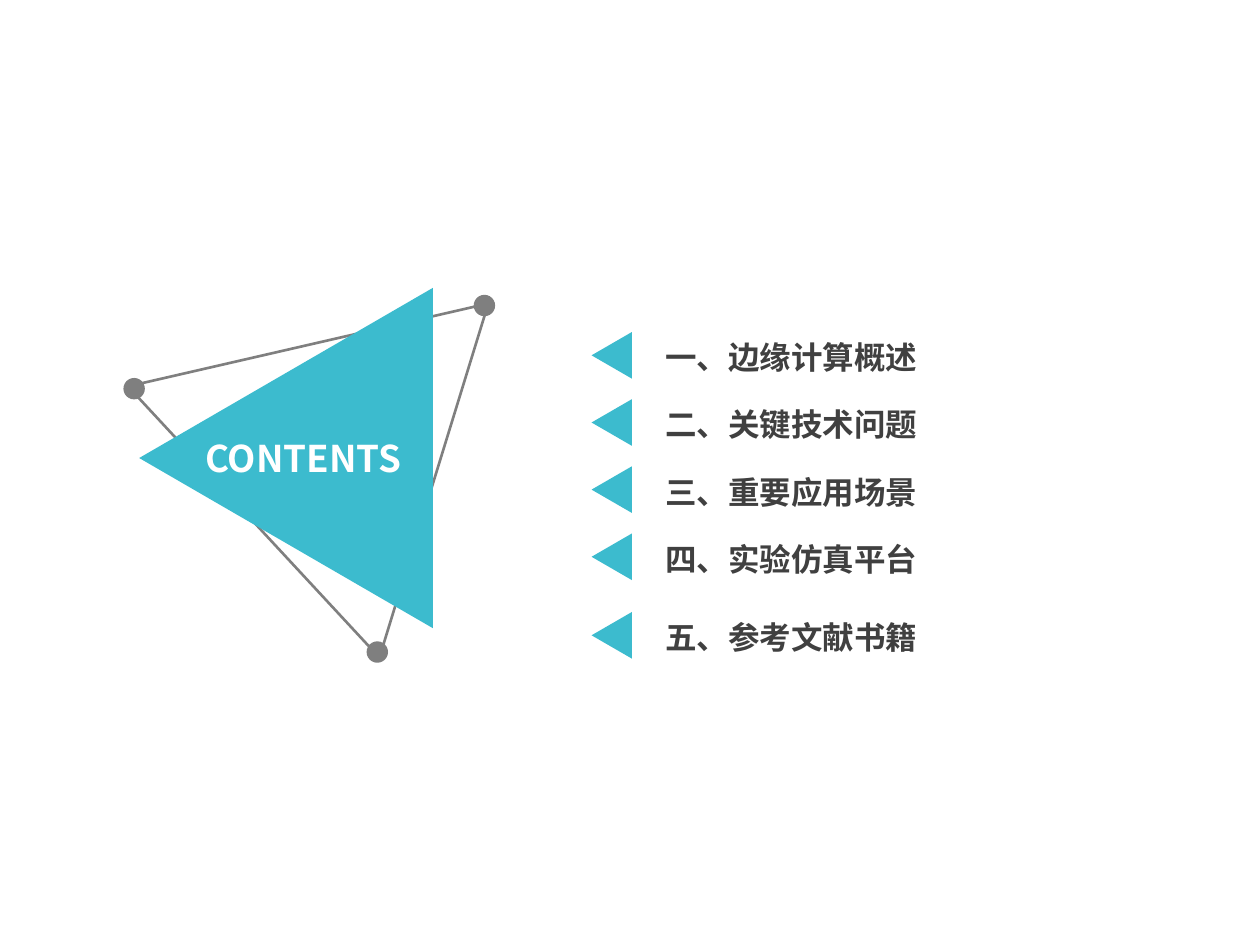
import pptx
import pptx.dml.color
import pptx.enum.shapes
import pptx.enum.text
import pptx.oxml.ns
import pptx.util
from lxml import etree

RGBColor = pptx.dml.color.RGBColor
TEAL = RGBColor(0x3C, 0xBB, 0xCE)
GREY = RGBColor(0x7F, 0x7F, 0x7F)
DARK = RGBColor(0x40, 0x40, 0x40)
WHITE = RGBColor(0xFF, 0xFF, 0xFF)

COLUMNS, ROWS = 100, 75
TOPICS = ["一、边缘计算概述", "二、关键技术问题", "三、重要应用场景",
          "四、实验仿真平台", "五、参考文献书籍"]
FIRST_TOPIC, TOPIC_PITCH, LAST_TOPIC_GAP = 26.6, 5.33, 0.9
NODES = [(9.8, 30), (29.1, 50.9), (37.6, 23.4)]


class ContentsSlide:
    font = "Noto Sans CJK SC"

    def __init__(self, deck):
        self.column = deck.slide_width / COLUMNS
        self.row = deck.slide_height / ROWS
        self.slide = deck.slides.add_slide(deck.slide_layouts[6])

    def place(self, left, top, width, height):
        return [round(left * self.column), round(top * self.row),
                round(width * self.column), round(height * self.row)]

    def figure(self, preset, area, fill=None, outline=None, rotation=0):
        figure = self.slide.shapes.add_shape(preset, *self.place(*area))
        figure.shadow.inherit = False
        figure.rotation = rotation
        if fill is None:
            figure.fill.background()
        else:
            figure.fill.solid()
            figure.fill.fore_color.rgb = fill
        if outline is None:
            figure.line.fill.background()
        else:
            figure.line.color.rgb = outline
            figure.line.width = pptx.util.Pt(1.5)

    def triangle(self, area, rotation=270, **colours):
        self.figure(pptx.enum.shapes.MSO_SHAPE.ISOSCELES_TRIANGLE, area,
                    rotation=rotation, **colours)

    def node(self, left, top):
        self.figure(pptx.enum.shapes.MSO_SHAPE.OVAL, (left, top, 1.7, 1.7), fill=GREY)

    def label(self, wording, area, size, colour):
        frame = self.slide.shapes.add_textbox(*self.place(*area)).text_frame
        frame.word_wrap = True
        frame.auto_size = pptx.enum.text.MSO_AUTO_SIZE.SHAPE_TO_FIT_TEXT
        run = frame.paragraphs[0].add_run()
        run.text = wording
        style = {"name": self.font, "size": pptx.util.Pt(size), "bold": True}
        for attribute, value in style.items():
            setattr(run.font, attribute, value)
        run.font.color.rgb = colour
        east_asian = etree.SubElement(run._r.get_or_add_rPr(), pptx.oxml.ns.qn("a:ea"))
        east_asian.set("typeface", self.font)


def main():
    deck = pptx.Presentation()
    deck.slide_width = pptx.util.Inches(10)
    deck.slide_height = pptx.util.Inches(7.5)
    contents = ContentsSlide(deck)

    contents.triangle((7.6, 21.7, 29.4, 25.4), rotation=287.1, outline=GREY)
    contents.triangle((9.2, 24.7, 27, 23.3), fill=TEAL)
    for left, top in NODES:
        contents.node(left, top)
    contents.label("CONTENTS", (15.3, 34.1, 19, 4.5), 21, WHITE)

    for index, topic in enumerate(TOPICS):
        top = FIRST_TOPIC + index * TOPIC_PITCH
        if index == len(TOPICS) - 1:
            top += LAST_TOPIC_GAP
        contents.triangle((46.7, top, 3.7, 3.2), fill=TEAL)
        contents.label(topic, (51.8, top - 0.25, 22.1, 4), 18, DARK)

    deck.save("out.pptx")


if __name__ == "__main__":
    main()
